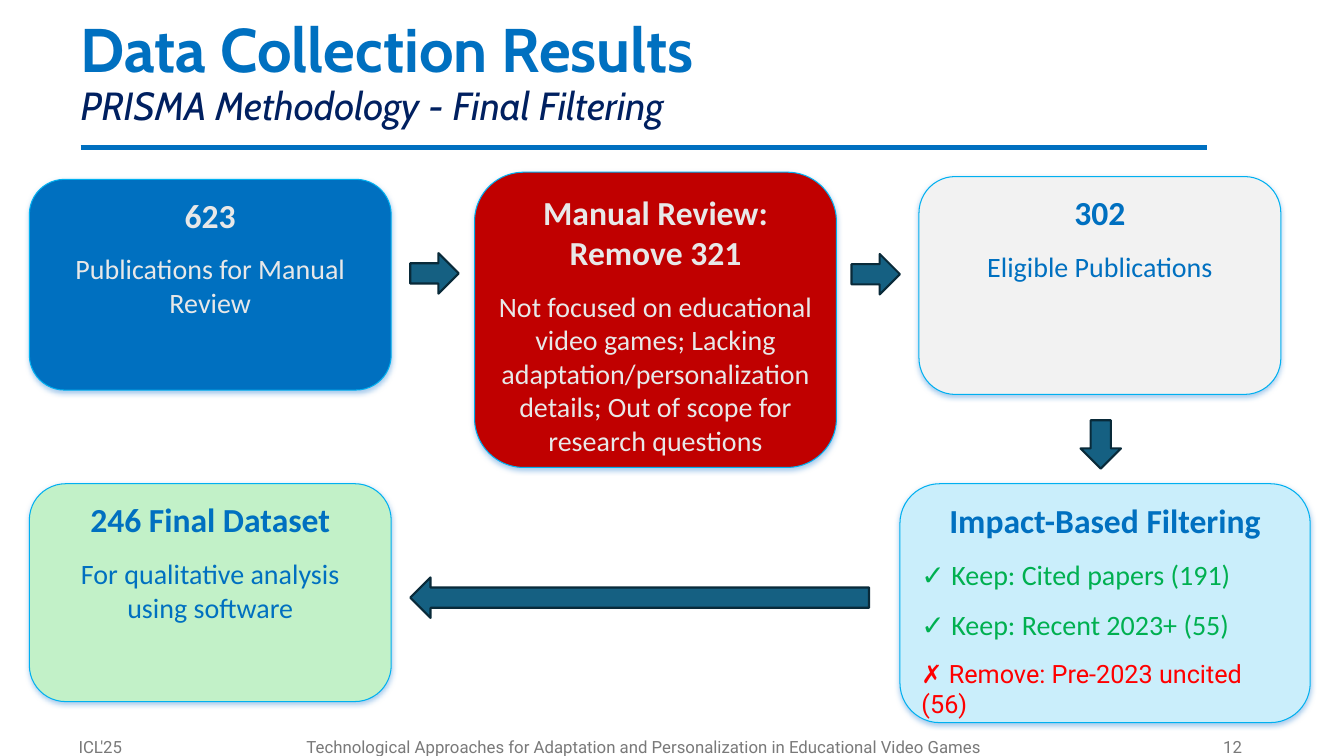
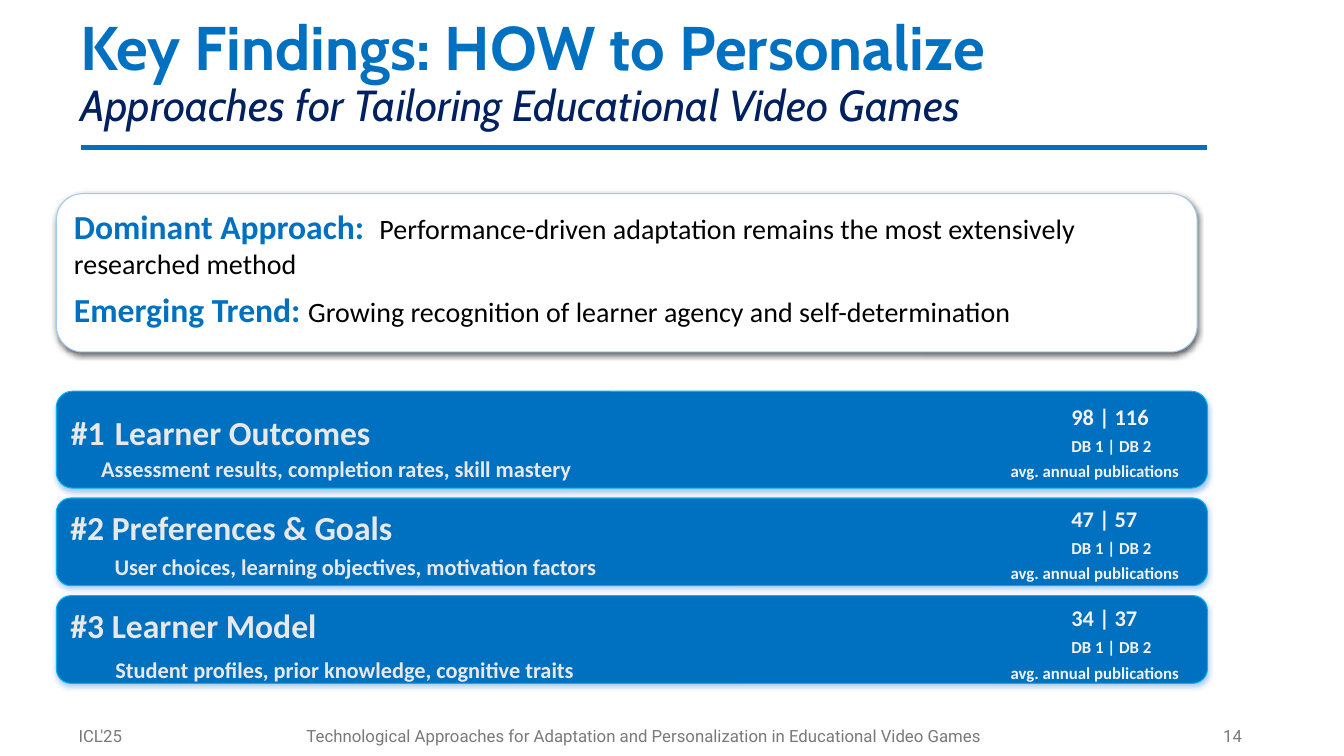
import lxml.etree
import pptx
import pptx.dml.color
import pptx.enum.shapes
import pptx.enum.text
import pptx.oxml.ns
import pptx.util

Cm, Pt = pptx.util.Cm, pptx.util.Pt
rgb = pptx.dml.color.RGBColor.from_string
qn = pptx.oxml.ns.qn
element = lxml.etree.SubElement
PRESET = pptx.enum.shapes.MSO_SHAPE
ALIGN = pptx.enum.text.PP_ALIGN
ANCHOR = pptx.enum.text.MSO_ANCHOR

# Shared colours
BLUE, NAVY, SKY, PALE_BLUE = "0070C0", "002060", "00B0F0", "A6CAEC"
WHITE, BLACK, LIGHT, OFF_WHITE, GREY = "FFFFFF", "000000", "E8E8E8", "F2F2F2", "797979"
RED, BRIGHT_RED, GREEN, MINT, ICE = "C00000", "FF0000", "00B050", "C2F1C8", "CAEEFB"
TEAL, DARK_TEAL = "156082", "092A39"


def write(frame, runs, name="Calibri", align=ALIGN.LEFT, before=0, after=0, indent=0, tab=0):
    """Add a paragraph; each run is (text, size, colour, bold)."""
    paragraph = frame.paragraphs[0]
    if paragraph.runs:
        paragraph = frame.add_paragraph()
    paragraph.alignment = align
    paragraph.space_before, paragraph.space_after = Pt(before), Pt(after)
    properties = paragraph._p.get_or_add_pPr()
    properties.set("marL", str(Cm(indent)))
    if tab:
        element(element(properties, qn("a:tabLst")), qn("a:tab"), pos=str(Cm(tab)), algn="l")
    for text, size, colour, bold in runs:
        run = paragraph.add_run()
        run.text = text
        font = paragraph.font if len(runs) == 1 else run.font
        font.name, font.size, font.bold = name, Pt(size), bold
        font.color.rgb = rgb(colour)
    return paragraph


def draw(slide, preset, place, fill, outline, width, shadow=None):
    """Add a filled shape; shadow is (colour, opacity, blur, distance)."""
    shape = slide.shapes.add_shape(preset, *[Cm(length) for length in place])
    shape.shadow.inherit = False
    shape.fill.solid()
    shape.fill.fore_color.rgb = rgb(fill)
    shape.line.color.rgb = rgb(outline)
    shape.line.width = Pt(width)
    shape.text_frame.vertical_anchor = ANCHOR.TOP
    if shadow:
        colour, opacity, blur, distance = shadow
        effects = shape.element.spPr.find(qn("a:effectLst"))
        outer = element(effects, qn("a:outerShdw"), blurRad=str(Pt(blur)), dist=str(Pt(distance)),
                        dir="5400000", algn="t", rotWithShape="0")
        tint = element(outer, qn("a:srgbClr"), val=colour)
        element(tint, qn("a:alpha"), val=str(opacity * 1000))
    return shape


CARD_SHADOW = (PALE_BLUE, 100, 4, 1.5)

deck = pptx.Presentation()
deck.slide_width, deck.slide_height = Cm(33.87), Cm(19.05)

# Title, rule and footer of both slides
headings = [
    ("Data Collection Results", "PRISMA Methodology - Final Filtering", 28, "12", 18.32),
    ("Key Findings: HOW to Personalize", "Approaches for Tailoring Educational Video Games", 31, "14", 18.02),
]
slides = []
for title, subtitle, subtitle_size, number, footer_top in headings:
    slide = deck.slides.add_slide(deck.slide_layouts[6])
    slides.append(slide)
    frame = slide.shapes.add_textbox(0, Cm(0.03), deck.slide_width, Cm(3.68)).text_frame
    frame.word_wrap = True
    frame.vertical_anchor = ANCHOR.MIDDLE
    frame.margin_left = Cm(2.03)
    heading = write(frame, [(title, 44, BLUE, True)], name="Cabin")
    heading.line_spacing = 0.9
    heading.add_line_break()
    subheading = heading.add_run()
    subheading.text = subtitle
    subheading.font.size, subheading.font.bold, subheading.font.italic = Pt(subtitle_size), False, True
    subheading.font.color.rgb = rgb(NAVY)

    rule = slide.shapes.add_connector(pptx.enum.shapes.MSO_CONNECTOR.STRAIGHT,
                                      Cm(2.03), Cm(3.71), Cm(30.43), Cm(3.71))
    rule.line.color.rgb = rgb(BLUE)
    rule.line.width = Pt(3.25)
    element(rule.element.spPr, qn("a:effectLst"))

    for left, width, text, align in [
        (1.73, 5.72, "ICL'25", ALIGN.LEFT),
        (7.44, 17.58, "Technological Approaches for Adaptation and Personalization in Educational Video Games",
         ALIGN.CENTER),
        (23.93, 7.62, number, ALIGN.RIGHT),
    ]:
        frame = slide.shapes.add_textbox(Cm(left), Cm(footer_top), Cm(width), Cm(1.02)).text_frame
        frame.word_wrap = True
        frame.vertical_anchor = ANCHOR.MIDDLE
        write(frame, [(text, 12, GREY, False)], name="Roboto", align=align)

filtering, findings = slides

# Filtering steps
steps = [
    ((0.74, 4.52, 9.12, 5.31), BLUE, LIGHT, "623", "Publications for Manual Review"),
    ((11.96, 4.34, 9.12, 7.44), RED, LIGHT, "Manual Review: Remove 321",
     "Not focused on educational video games; Lacking adaptation/personalization details; "
     "Out of scope for research questions"),
    ((23.16, 4.45, 9.12, 5.49), OFF_WHITE, BLUE, "302", "Eligible Publications"),
    ((22.68, 12.19, 10.34, 6.02), ICE, BLUE, "Impact-Based Filtering", None),
    ((0.74, 12.19, 9.12, 5.49), MINT, BLUE, "246 Final Dataset", "For qualitative analysis using software"),
]
criteria = [
    ("✓ Keep: Cited papers (191)", 20, GREEN, "Calibri"),
    ("✓ Keep: Recent 2023+ (55)", 20, GREEN, "Calibri"),
    ("✗ Remove: Pre-2023 uncited (56)", 18, BRIGHT_RED, "Roboto"),
]
for place, fill, ink, headline, detail in steps:
    frame = draw(filtering, PRESET.ROUNDED_RECTANGLE, place, fill, SKY, 0, CARD_SHADOW).text_frame
    write(frame, [(headline, 24, ink, True)], align=ALIGN.CENTER, after=12)
    if detail:
        write(frame, [(detail, 20, ink, False)], align=ALIGN.CENTER, after=12)
    else:
        for text, size, colour, name in criteria:
            write(frame, [(text, size, colour, False)], name=name, after=12)

# Arrows between the steps
for left, top, length, turn in [(10.34, 6.38, 1.22, 0), (21.46, 6.4, 1.22, 0),
                                (27.13, 10.69, 1.22, 90), (10.34, 14.55, 11.56, 180)]:
    arrow = draw(filtering, PRESET.RIGHT_ARROW, (left, top, length, 1.02), TEAL, DARK_TEAL, 1.5)
    arrow.rotation = turn

# Summary of the findings
summary = draw(findings, PRESET.ROUNDED_RECTANGLE, (1.42, 4.88, 28.75, 3.99), WHITE, PALE_BLUE, 0.75,
               (BLACK, 63, 4.5, 1.5)).text_frame
write(summary, [("Dominant Approach:\t", 24, BLUE, True),
                ("Performance-driven adaptation remains the most extensively researched method", 20, BLACK, False)],
      after=6, tab=7.7)
write(summary, [("Emerging Trend: ", 24, BLUE, True),
                ("Growing recognition of learner agency and self-determination", 20, BLACK, False)], after=12)

# Ranked approaches with their publication counts
approaches = [
    (9.86, 2.44, [("#1", 24, LIGHT, True), (" ", 32, LIGHT, True), ("Learner Outcomes", 24, LIGHT, True)],
     "Assessment results, completion rates, skill mastery", 0.76, 0, 10.03, "98 | 116"),
    (12.55, 2.21, [("#2 Preferences & Goals", 24, LIGHT, True)],
     "User choices, learning objectives, motivation factors", 1.11, 4, 12.6, "47 | 57"),
    (15.01, 2.21, [("#3 Learner Model", 24, LIGHT, True)],
     "Student profiles, prior knowledge, cognitive traits", 1.13, 8, 15.11, "34 | 37"),
]
for top, height, headline, detail, indent, gap, count_top, count in approaches:
    frame = draw(findings, PRESET.ROUNDED_RECTANGLE, (1.42, top, 29.01, height), BLUE, SKY, 0,
                 CARD_SHADOW).text_frame
    write(frame, headline)
    write(frame, [(detail, 16, LIGHT, True)], before=gap, indent=indent)
    for left, offset, width, line_height, text, size in [
        (26.75, 0, 3.68, 0.94, count, 16),
        (26.75, 0.82, 3.68, 0.76, "DB 1 | DB 2", 12),
        (25.22, 1.46, 5.41, 0.76, "avg. annual publications", 12),
    ]:
        frame = findings.shapes.add_textbox(Cm(left), Cm(count_top + offset), Cm(width), Cm(line_height)).text_frame
        frame.word_wrap = True
        write(frame, [(text, size, OFF_WHITE, True)])

deck.save("out.pptx")
